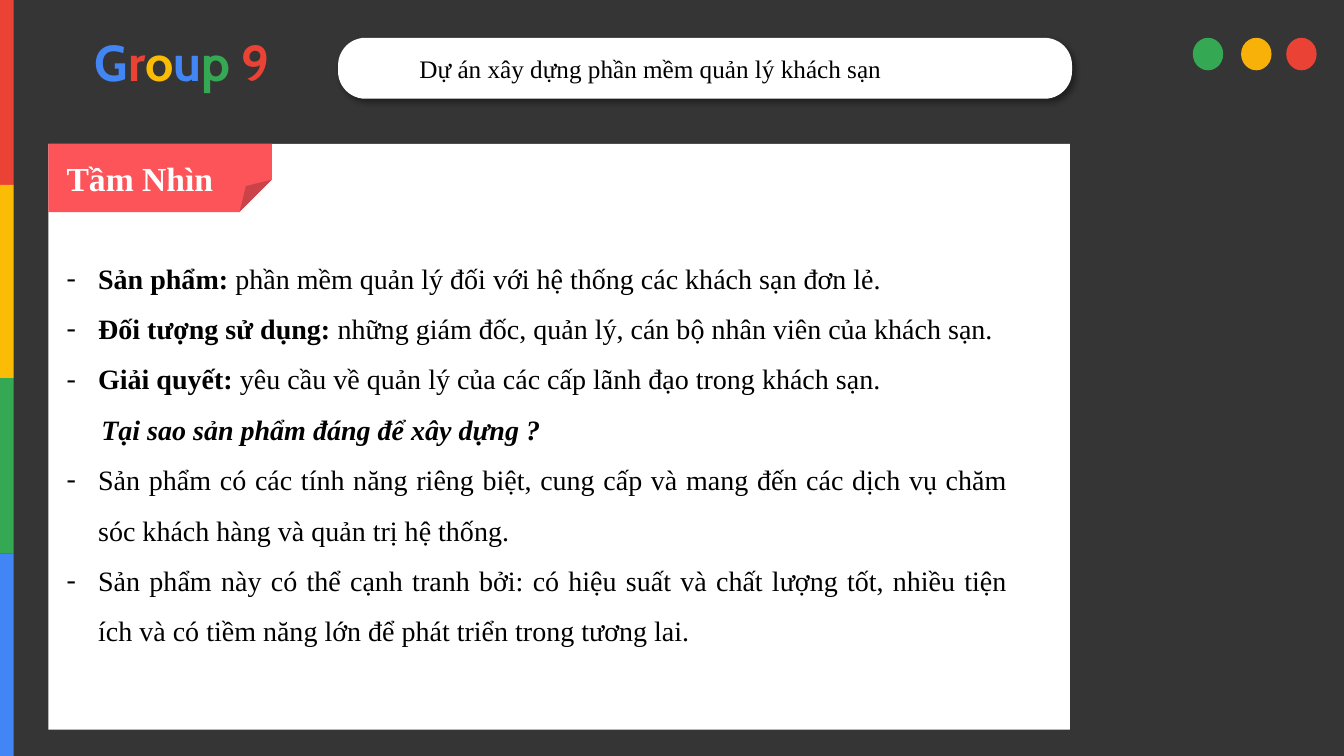
import pptx
import pptx.dml.color
import pptx.enum.shapes
import pptx.enum.text
import pptx.oxml.ns
import pptx.util
from lxml import etree

SHAPES = pptx.enum.shapes.MSO_SHAPE
ALIGN = pptx.enum.text.PP_ALIGN
BLUE, RED, YELLOW, GREEN = "4285F4", "EA4335", "FBBC05", "34A853"
DARK, WHITE, BLACK = "353535", "FFFFFF", "000000"
SERIF = "Times New Roman"


def px(length):
    """Turn pixels (96 to the inch) into EMU."""
    return pptx.util.Emu(length * 9525)


def rgb(value):
    """Turn a hex string into a colour."""
    return pptx.dml.color.RGBColor.from_string(value)


def add_element(parent, tag, **attributes):
    """Append a DrawingML element to its parent."""
    return etree.SubElement(parent, pptx.oxml.ns.qn(tag), attributes)


class SlideBuilder:
    """Hold the slide and draw styled elements on it."""

    def __init__(self, slide, background):
        """Keep the slide and paint its background."""
        self.slide = slide
        slide.background.fill.solid()
        slide.background.fill.fore_color.rgb = rgb(background)

    def shape(self, kind, left, top, width, height, color, adjustment=None):
        """Add a plain filled shape."""
        shape = self.slide.shapes.add_shape(kind, px(left), px(top), px(width), px(height))
        shape.shadow.inherit = False
        shape.fill.solid()
        shape.fill.fore_color.rgb = rgb(color)
        shape.line.fill.background()
        if adjustment is not None:
            self.adjust(shape, adjustment)
        return shape

    def adjust(self, shape, adjustment):
        """Set the one adjustment of a preset shape."""
        geometry = shape._element.spPr.find(pptx.oxml.ns.qn("a:prstGeom"))
        for child in list(geometry):
            geometry.remove(child)
        guides = add_element(geometry, "a:avLst")
        add_element(guides, "a:gd", name="adj", fmla=f"val {round(adjustment * 100000)}")

    def drop_shadow(self, shape):
        """Give a shape a soft shadow to the lower right."""
        effects = shape._element.spPr.find(pptx.oxml.ns.qn("a:effectLst"))
        shadow = add_element(effects, "a:outerShdw", blurRad="50800", dist="38100",
                             dir="2700000", algn="tl", rotWithShape="0")
        color = add_element(shadow, "a:srgbClr", val=BLACK)
        add_element(color, "a:alpha", val="40000")

    def text_frame(self, left, top, width, height):
        """Add a wrapping text box and return its frame."""
        box = self.slide.shapes.add_textbox(px(left), px(top), px(width), px(height))
        box.text_frame.word_wrap = True
        return box.text_frame

    def run(self, paragraph, text, size, color, font=SERIF, bold=False, italic=False):
        """Add a formatted run to a paragraph."""
        run = paragraph.add_run()
        run.text = text
        run.font.name = font
        run.font.size = pptx.util.Pt(size)
        run.font.bold = bold
        run.font.italic = italic
        run.font.color.rgb = rgb(color)

    def label(self, text, left, top, width, height, size, color, bold=False):
        """Add a one-line text."""
        frame = self.text_frame(left, top, width, height)
        self.run(frame.paragraphs[0], text, size, color, bold=bold)

    def wordmark(self, letters, left, top, width, height):
        """Add a centred word with a colour for each letter."""
        paragraph = self.text_frame(left, top, width, height).paragraphs[0]
        paragraph.alignment = ALIGN.CENTER
        for text, color in letters:
            self.run(paragraph, text, 36, color, font="Cabin", bold=True)

    def body(self, points, left, top, width, height):
        """Add justified points: dashed items and indented questions."""
        frame = self.text_frame(left, top, width, height)
        for index, (lead, text) in enumerate(points):
            paragraph = frame.add_paragraph() if index else frame.paragraphs[0]
            paragraph.alignment = ALIGN.JUSTIFY
            paragraph.line_spacing = 1.5
            properties = paragraph._p.get_or_add_pPr()
            if text:
                properties.set("marL", str(px(30)))
                properties.set("indent", str(px(-30)))
                add_element(properties, "a:buFont", typeface=SERIF)
                add_element(properties, "a:buChar", char="-")
            else:
                properties.set("marL", "0")
                properties.set("indent", str(px(33)))
            if lead:
                self.run(paragraph, lead, 20, BLACK, bold=True, italic=not text)
            if text:
                self.run(paragraph, text, 20, BLACK)


POINTS = [
    ("Sản phẩm:", " phần mềm quản lý đối với hệ thống các khách sạn đơn lẻ."),
    ("Đối tượng sử dụng:", " những giám đốc, quản lý, cán bộ nhân viên của khách sạn."),
    ("Giải quyết:", " yêu cầu về quản lý của các cấp lãnh đạo trong khách sạn."),
    ("Tại sao sản phẩm đáng để xây dựng ?", ""),
    ("", "Sản phẩm có các tính năng riêng biệt, cung cấp và mang đến các dịch vụ "
         "chăm sóc khách hàng và quản trị hệ thống."),
    ("", "Sản phẩm này có thể cạnh tranh bởi: có hiệu suất và chất lượng tốt, nhiều "
         "tiện ích và có tiềm năng lớn để phát triển trong tương lai."),
]
GROUP_LETTERS = [("G", BLUE), ("r", RED), ("o", YELLOW), ("u", BLUE), ("p ", GREEN), ("9", RED)]
DOTS = [(1136, GREEN), (1182, "F7B108"), (1225, RED)]
STRIPES = [(0, 176, RED), (176, 360, YELLOW), (360, 527, GREEN), (527, 720, BLUE)]


def main():
    """Build the vision slide."""
    presentation = pptx.Presentation()
    presentation.slide_width, presentation.slide_height = px(1280), px(720)
    slide = presentation.slides.add_slide(presentation.slide_layouts[6])
    builder = SlideBuilder(slide, DARK)

    builder.shape(SHAPES.RECTANGLE, 46, 137, 973, 558, WHITE)
    builder.shape(SHAPES.FOLDED_CORNER, 46, 137, 213, 65, "FD545A", 0.476)
    builder.label("Tầm Nhìn", 54, 146, 206, 48, 24, WHITE, bold=True)

    builder.shape(SHAPES.RECTANGLE, 13, 0, 1267, 120, DARK)
    builder.wordmark(GROUP_LETTERS, 24, 25, 300, 83)
    for left, color in DOTS:
        builder.shape(SHAPES.OVAL, left, 36, 29, 31, color)
    search_bar = builder.shape(SHAPES.ROUNDED_RECTANGLE, 322, 36, 699, 58, WHITE, 0.45)
    builder.drop_shadow(search_bar)
    builder.label("Dự án xây dựng phần mềm quản lý khách sạn", 390, 46, 557, 38, 18, BLACK)

    for top, bottom, color in STRIPES:
        builder.shape(SHAPES.RECTANGLE, 0, top, 13, bottom - top, color)
    builder.body(POINTS, 54, 228, 915, 440)
    presentation.save("out.pptx")


if __name__ == "__main__":
    main()
